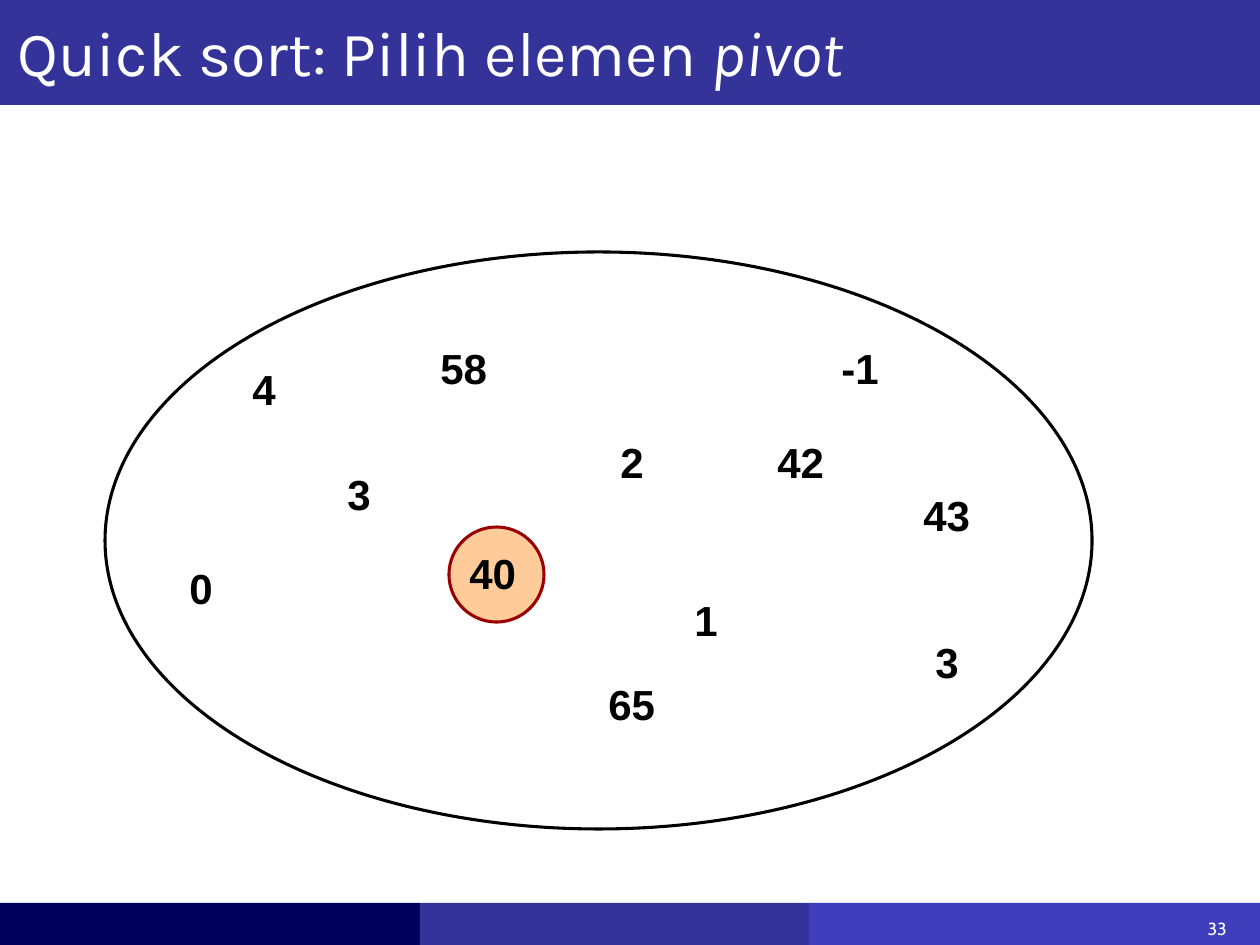
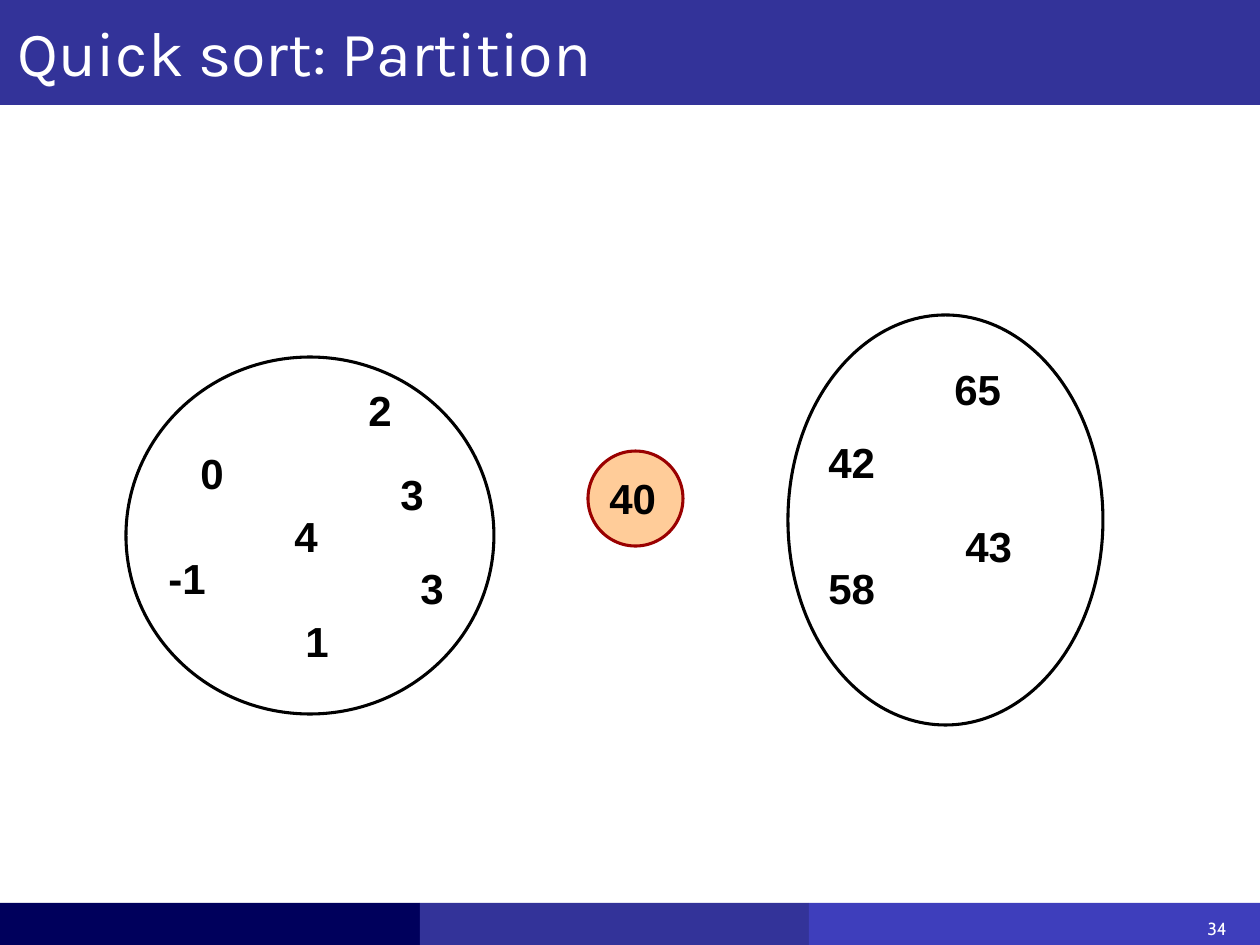
from dataclasses import dataclass

import pptx
import pptx.dml.color
import pptx.enum.shapes
import pptx.enum.text
import pptx.util

PX = pptx.util.Inches(1) / 126
PAGE_WIDTH, PAGE_HEIGHT = 1260, 945
TITLE_HEIGHT = 105
FOOTER_TOP = 903
TITLE_ONLY = 5
FIRST_NUMBER = 33

WHITE = "FFFFFF"
BLACK = "000000"
BLUE = "333399"
NAVY = "00005C"
LIGHT_BLUE = "3E3EBC"
PEACH = "FFCC99"
DARK_RED = "9A0000"

FOOTER_BANDS = [(0, 420, NAVY), (420, 809, BLUE), (809, PAGE_WIDTH, LIGHT_BLUE)]


@dataclass(frozen=True)
class Area:
    left: int
    top: int
    width: int
    height: int


@dataclass(frozen=True)
class Element:
    value: int
    left: int
    top: int


@dataclass(frozen=True)
class SortStep:
    title: str
    emphasis: str
    pivot: Area
    elements: list[Element]
    sets: list[Area]


STEPS = [
    SortStep(
        "Quick sort: Pilih elemen ",
        "pivot",
        Area(449, 527, 95, 95),
        [
            Element(40, 457, 541),
            Element(2, 608, 430),
            Element(1, 682, 588),
            Element(3, 335, 462),
            Element(43, 911, 483),
            Element(65, 596, 672),
            Element(0, 177, 556),
            Element(-1, 829, 336),
            Element(58, 428, 336),
            Element(3, 923, 630),
            Element(42, 765, 430),
            Element(4, 240, 357),
        ],
        [Area(105, 252, 987, 577)],
    ),
    SortStep(
        "Quick sort: Partition",
        "",
        Area(588, 451, 95, 95),
        [
            Element(40, 597, 466),
            Element(2, 356, 378),
            Element(1, 293, 609),
            Element(3, 388, 462),
            Element(43, 953, 514),
            Element(65, 942, 357),
            Element(0, 188, 441),
            Element(-1, 156, 546),
            Element(58, 816, 556),
            Element(3, 408, 556),
            Element(42, 816, 430),
            Element(4, 282, 504),
        ],
        [Area(126, 357, 368, 357), Area(788, 315, 315, 410)],
    ),
]


def px(length: int) -> int:
    return round(length * PX)


def emu(area: Area) -> tuple[int, int, int, int]:
    return px(area.left), px(area.top), px(area.width), px(area.height)


def color(code: str) -> pptx.dml.color.RGBColor:
    return pptx.dml.color.RGBColor.from_string(code)


def set_font(paragraph, name: str, size: int, code: str, bold: bool = False) -> None:
    font = paragraph.font
    font.name = name
    font.size = pptx.util.Pt(size)
    font.bold = bold
    font.color.rgb = color(code)


def add_figure(page, kind, area: Area, fill: str = "", line: str = "") -> None:
    shape = page.shapes.add_shape(kind, *emu(area))
    shape.shadow.inherit = False
    if fill:
        shape.fill.solid()
        shape.fill.fore_color.rgb = color(fill)
    else:
        shape.fill.background()
    if line:
        shape.line.color.rgb = color(line)
        shape.line.width = pptx.util.Pt(1.75)
    else:
        shape.line.fill.background()


def add_band(page, area: Area, fill: str) -> None:
    add_figure(page, pptx.enum.shapes.MSO_SHAPE.RECTANGLE, area, fill)


def add_oval(page, area: Area, line: str, fill: str = "") -> None:
    add_figure(page, pptx.enum.shapes.MSO_SHAPE.OVAL, area, fill, line)


def add_label(page, text: str, area: Area, wrap: bool):
    box = page.shapes.add_textbox(*emu(area))
    frame = box.text_frame
    frame.word_wrap = wrap
    frame.auto_size = pptx.enum.text.MSO_AUTO_SIZE.SHAPE_TO_FIT_TEXT
    para = frame.paragraphs[0]
    para.text = text
    return para


def add_element(page, element: Element) -> None:
    text = str(element.value)
    width = 27 + sum(14 if letter == "-" else 23 for letter in text)
    para = add_label(page, text, Area(element.left, element.top, width, 63), False)
    set_font(para, "Arial", 24, BLACK, bold=True)


def add_frame(page, number: int) -> None:
    for left, right, fill in FOOTER_BANDS:
        height = PAGE_HEIGHT - FOOTER_TOP
        add_band(page, Area(left, FOOTER_TOP, right - left, height), fill)
    add_band(page, Area(0, 0, PAGE_WIDTH, TITLE_HEIGHT), BLUE)
    para = add_label(page, str(number), Area(1176, 912, 63, 36), True)
    para.alignment = pptx.enum.text.PP_ALIGN.RIGHT
    set_font(para, "Cabin", 10, WHITE)


def set_title(page, step: SortStep) -> None:
    title = page.shapes.title
    title.left, title.top, title.width, title.height = emu(Area(5, 7, 1255, 88))
    frame = title.text_frame
    frame.auto_size = pptx.enum.text.MSO_AUTO_SIZE.NONE
    frame.vertical_anchor = pptx.enum.text.MSO_ANCHOR.BOTTOM
    para = frame.paragraphs[0]
    para.alignment = pptx.enum.text.PP_ALIGN.LEFT
    para.add_run().text = step.title
    if step.emphasis:
        span = para.add_run()
        span.text = step.emphasis
        span.font.italic = True
    set_font(para, "Karla", 36, WHITE)
    page.shapes._spTree.append(title._element)


def add_step(deck, step: SortStep, number: int) -> None:
    page = deck.slides.add_slide(deck.slide_layouts[TITLE_ONLY])
    add_frame(page, number)
    add_oval(page, step.pivot, DARK_RED, PEACH)
    for element in step.elements:
        add_element(page, element)
    for area in step.sets:
        add_oval(page, area, BLACK)
    set_title(page, step)


def main() -> None:
    deck = pptx.Presentation()
    deck.slide_width = px(PAGE_WIDTH)
    deck.slide_height = px(PAGE_HEIGHT)
    for number, step in enumerate(STEPS, FIRST_NUMBER):
        add_step(deck, step, number)
    deck.save("out.pptx")


if __name__ == "__main__":
    main()
